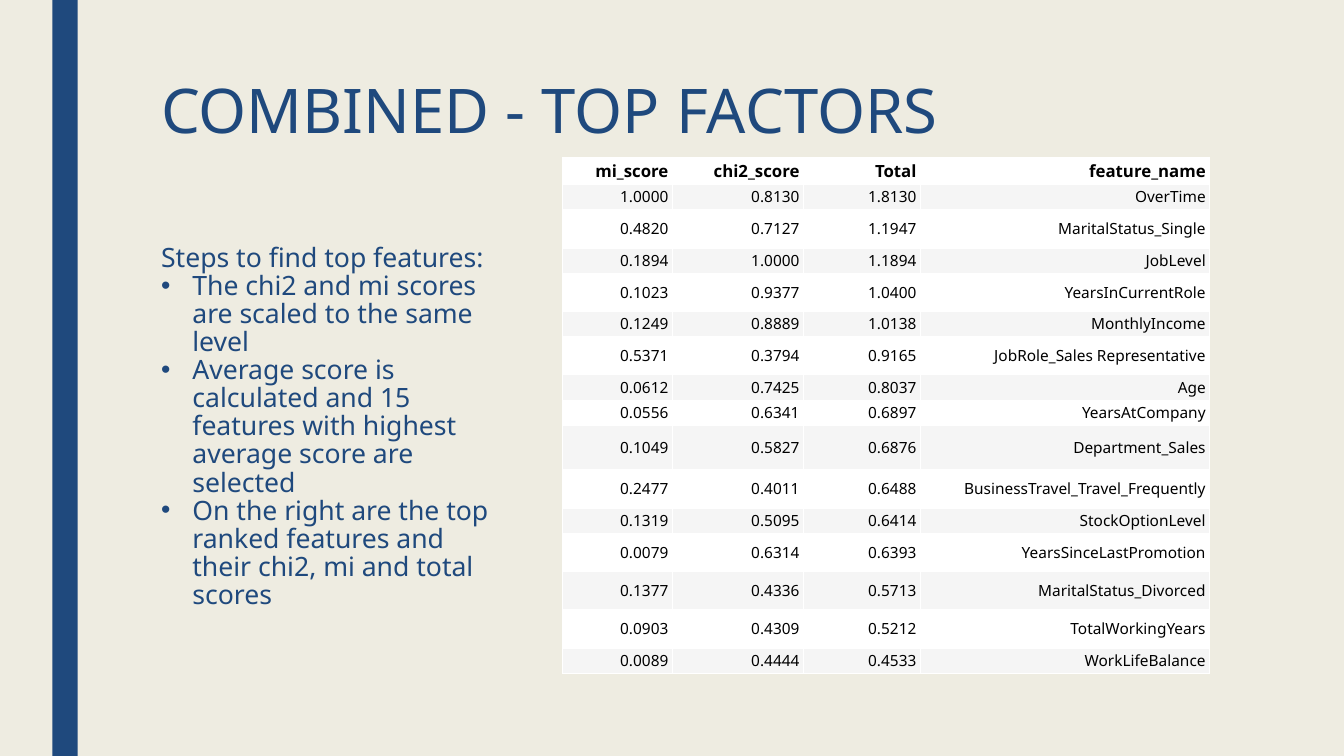
from dataclasses import dataclass

from lxml import etree
from pptx import Presentation
from pptx import util as u
from pptx.dml.color import RGBColor
from pptx.enum import shapes, text
from pptx.oxml import ns


@dataclass(frozen=True)
class Theme:
    """Colours, font and type sizes."""
    font: str = "Noto Sans"
    page: str = "EEECE1"
    navy: str = "1F497D"
    ink: str = "000000"
    bands: tuple = ("FFFFFF", "F5F5F5")
    title: int = 44
    body: int = 19
    head: int = 12
    cell: int = 11


class Deck:
    """Style and current slide, with a method for each kind of element."""

    def __init__(self, show, theme):
        """Add a blank slide with the theme's background."""
        self.theme = theme
        self.slide = show.slides.add_slide(show.slide_layouts[6])
        self.paint(self.slide.background.fill, theme.page)

    def paint(self, fill, color):
        """Make a fill solid."""
        fill.solid()
        fill.fore_color.rgb = RGBColor.from_string(color)

    def style(self, para, size, color, bold=False):
        """Format the runs of a paragraph."""
        for run in para.runs:
            font = run.font
            font.name, font.size, font.bold = self.theme.font, u.Pt(size), bold
            font.color.rgb = RGBColor.from_string(color)

    def bar(self, box):
        """Draw a plain filled rectangle."""
        bar = self.slide.shapes.add_shape(
            shapes.MSO_SHAPE.RECTANGLE, *map(u.Inches, box))
        bar.shadow.inherit = False
        self.paint(bar.fill, self.theme.navy)
        bar.line.fill.background()

    def label(self, box, lines, size, space):
        """Add a wrapped text box and return its frame."""
        frame = self.slide.shapes.add_textbox(*map(u.Inches, box)).text_frame
        frame.word_wrap = True
        frame.text = "\n".join(lines)
        for para in frame.paragraphs:
            para.line_spacing = space
            self.style(para, size, self.theme.navy)
        return frame

    def bullet(self, para, indent):
        """Give a paragraph a hanging bullet."""
        props = para._p.get_or_add_pPr()
        props.set("marL", str(u.Inches(indent)))
        props.set("indent", str(-u.Inches(indent)))
        etree.SubElement(props, ns.qn("a:buFont"), typeface="Arial")
        etree.SubElement(props, ns.qn("a:buChar"), char="•")

    def table(self, spot, wides, highs, rows):
        """Add a banded table with right-aligned cells."""
        size = (*spot, sum(wides), sum(highs))
        grid = self.slide.shapes.add_table(
            len(rows), len(wides), *map(u.Inches, size)).table
        for col, wide in zip(grid.columns, wides):
            col.width = u.Inches(wide)
        # Bands alternate
        for i, (row, high) in enumerate(zip(rows, highs)):
            grid.rows[i].height = u.Inches(high)
            for cell, value in zip(grid.rows[i].cells, row):
                self.fill_cell(cell, value, i)

    def fill_cell(self, cell, value, row):
        """Set the text and look of one cell; row 0 is the header."""
        theme = self.theme
        self.paint(cell.fill, theme.bands[row % 2])
        cell.margin_left = cell.margin_right = u.Inches(0.04)
        cell.margin_top = cell.margin_bottom = u.Inches(0.02)
        cell.vertical_anchor = text.MSO_ANCHOR.MIDDLE
        cell.text_frame.text = value
        para = cell.text_frame.paragraphs[0]
        para.alignment = text.PP_ALIGN.RIGHT
        self.style(para, theme.cell if row else theme.head, theme.ink, not row)


SCORES = [
    ("mi_score", "chi2_score", "Total", "feature_name"),
    ("1.0000", "0.8130", "1.8130", "OverTime"),
    ("0.4820", "0.7127", "1.1947", "MaritalStatus_Single"),
    ("0.1894", "1.0000", "1.1894", "JobLevel"),
    ("0.1023", "0.9377", "1.0400", "YearsInCurrentRole"),
    ("0.1249", "0.8889", "1.0138", "MonthlyIncome"),
    ("0.5371", "0.3794", "0.9165", "JobRole_Sales Representative"),
    ("0.0612", "0.7425", "0.8037", "Age"),
    ("0.0556", "0.6341", "0.6897", "YearsAtCompany"),
    ("0.1049", "0.5827", "0.6876", "Department_Sales"),
    ("0.2477", "0.4011", "0.6488", "BusinessTravel_Travel_Frequently"),
    ("0.1319", "0.5095", "0.6414", "StockOptionLevel"),
    ("0.0079", "0.6314", "0.6393", "YearsSinceLastPromotion"),
    ("0.1377", "0.4336", "0.5713", "MaritalStatus_Divorced"),
    ("0.0903", "0.4309", "0.5212", "TotalWorkingYears"),
    ("0.0089", "0.4444", "0.4533", "WorkLifeBalance"),
]
LOW, TALL = 0.25, 0.38
HIGHS = [0.27, LOW, TALL, LOW, TALL, LOW, TALL, LOW,
         LOW, 0.44, TALL, LOW, TALL, TALL, TALL, LOW]
STEPS = [
    "Steps to find top features:",
    "The chi2 and mi scores are scaled to the same level",
    "Average score is calculated and 15 features with highest average "
    "score are selected",
    "On the right are the top ranked features and their chi2, mi and "
    "total scores",
]


def main():
    """Build the slide and save it."""
    show = Presentation()
    show.slide_width, show.slide_height = u.Inches(13.33), u.Inches(7.5)
    theme = Theme()
    deck = Deck(show, theme)
    deck.bar((0.52, 0, 0.25, 7.5))
    deck.label((1.5, 0.75, 10.5, 1.62), ["COMBINED - TOP FACTORS"],
               theme.title, 0.89)
    deck.table((5.58, 1.56), (1.09, 1.3, 1.16, 2.87), HIGHS, SCORES)
    steps = deck.label((1.5, 2.38, 3.61, 3.3), STEPS, theme.body, 0.88)
    steps.auto_size = text.MSO_AUTO_SIZE.SHAPE_TO_FIT_TEXT
    for para in steps.paragraphs[1:]:
        deck.bullet(para, 0.31)
    show.save("out.pptx")


main()
